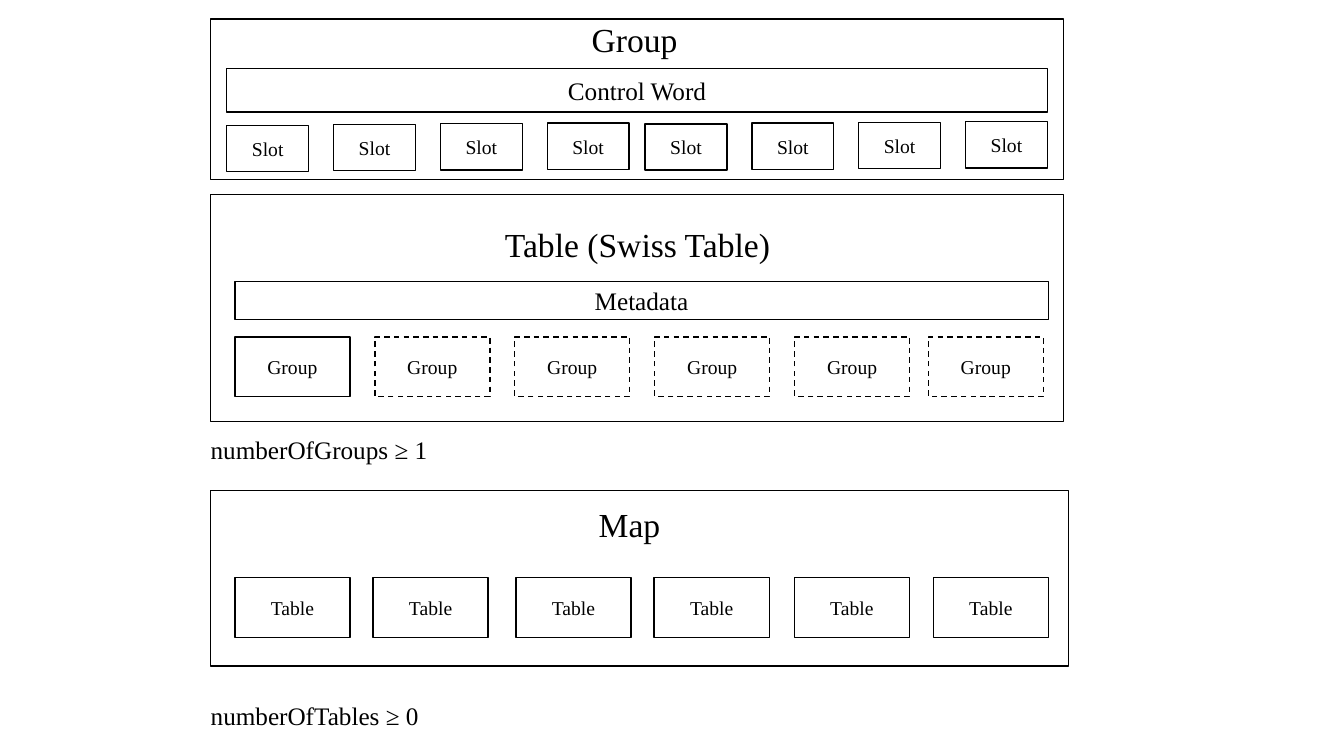
"""Draw the group, table and map layers of a Swiss table map."""
from dataclasses import dataclass

from pptx import Presentation
from pptx.dml.color import RGBColor
from pptx.enum import dml, shapes, text
from pptx.util import Pt

FONT = "Times New Roman"
INK = "000000"
PAPER = "FFFFFF"


@dataclass
class Box:
    left: float
    top: float
    width: float
    height: float
    label: str = ""
    size: int = 18
    fill: str = ""
    dashed: bool = False


@dataclass
class Label:
    left: float
    top: float
    width: float
    height: float
    label: str
    size: int
    level: int = 0
    note: bool = False


FRAMES = [
    Box(150.5, 13.7, 609.1, 114.5),
    Box(150.5, 139, 609.1, 162),
    Box(150.5, 350.6, 612.7, 125.3),
]
BARS = [
    Box(162, 49, 586.1, 31, "Control Word"),
    Box(167.8, 200.9, 581, 27.4, "Metadata"),
]
LABELS = [
    Label(233.3, 10.1, 403.9, 36, "Group", 24, level=1),
    Label(299.5, 156.2, 311.8, 36, "Table (Swiss Table)", 24),
    Label(352.1, 356.4, 195.1, 36, "Map", 24),
    Label(150.5, 310.3, 156.2, 21.6, "numberOfGroups ≥ 1", 18, note=True),
    Label(150.5, 500.4, 149.8, 21.6, "numberOfTables ≥ 0", 18, note=True),
]
SLOT_LEFTS = [start + 76.3 * i for start in (162, 460.8) for i in range(4)]
SLOT_TOPS = [89.6, 89, 88.4, 88, 88.5, 88, 87.4, 87]
GROUP_LEFTS = [167.8 + 99.95 * i for i in range(5)] + [663.1]
TABLE_LEFTS = [167.8, 266.5, 368.6, 467.3, 567.4, 666.7]


def paint(code: str) -> RGBColor:
    return RGBColor.from_string(code)


def write(frame, label: str, size: int):
    para = frame.paragraphs[0]
    para.text = label
    para.font.name = FONT
    para.font.size = Pt(size)
    para.font.color.rgb = paint(INK)
    return para


def draw_box(slide, box: Box) -> None:
    shape = slide.shapes.add_shape(
        shapes.MSO_SHAPE.RECTANGLE,
        Pt(box.left), Pt(box.top), Pt(box.width), Pt(box.height))
    shape.shadow.inherit = False
    if box.fill:
        shape.fill.solid()
        shape.fill.fore_color.rgb = paint(box.fill)
    else:
        shape.fill.background()
    shape.line.color.rgb = paint(INK)
    shape.line.width = Pt(1)
    if box.dashed:
        shape.line.dash_style = dml.MSO_LINE.DASH
    if box.label:
        frame = shape.text_frame
        frame.vertical_anchor = text.MSO_ANCHOR.MIDDLE
        write(frame, box.label, box.size).alignment = text.PP_ALIGN.CENTER


def draw_label(slide, item: Label) -> None:
    frame = slide.shapes.add_textbox(
        Pt(item.left), Pt(item.top), Pt(item.width), Pt(item.height)).text_frame
    frame.word_wrap = not item.note
    frame.auto_size = text.MSO_AUTO_SIZE.SHAPE_TO_FIT_TEXT
    para = write(frame, item.label, item.size)
    para.level = item.level
    if item.note:
        frame.margin_left = frame.margin_right = Pt(0)
        frame.margin_top = frame.margin_bottom = Pt(0)
    else:
        para.alignment = text.PP_ALIGN.CENTER


def main() -> None:
    deck = Presentation()
    deck.slide_width, deck.slide_height = Pt(960), Pt(540)
    slide = deck.slides.add_slide(deck.slide_layouts[6])

    slots = [Box(left, top, 58.5, 33, "Slot", 14, PAPER)
             for left, top in zip(SLOT_LEFTS, SLOT_TOPS)]
    groups = [Box(left, 240.6, 82.2, 42.6, "Group", 14, PAPER, dashed=i > 0)
              for i, left in enumerate(GROUP_LEFTS)]
    tables = [Box(left, 412.7, 82.2, 42.6, "Table", 14, PAPER)
              for left in TABLE_LEFTS]

    for box in FRAMES + BARS + slots + groups + tables:
        draw_box(slide, box)
    for item in LABELS:
        draw_label(slide, item)
    deck.save("out.pptx")


if __name__ == "__main__":
    main()
